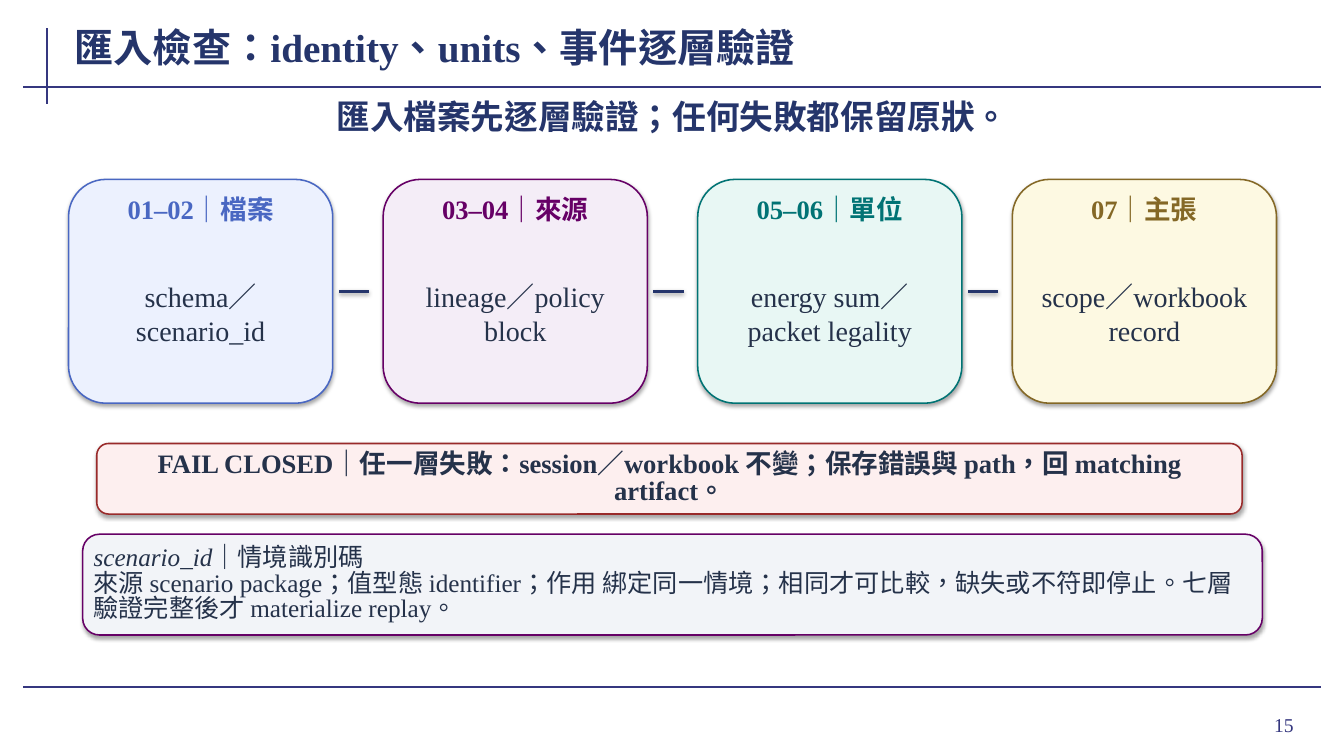
from lxml.etree import SubElement
from pptx import Presentation
from pptx.dml.color import RGBColor
from pptx.enum.lang import MSO_LANGUAGE_ID
from pptx.enum.shapes import MSO_CONNECTOR, MSO_SHAPE
from pptx.enum.text import MSO_ANCHOR, PP_ALIGN
from pptx.oxml.ns import qn
from pptx.util import Inches, Pt

FONT = "Times New Roman"
RULE = RGBColor(0x35, 0x37, 0x7F)
NAVY = RGBColor(0x25, 0x35, 0x6B)
INK = RGBColor(0x25, 0x32, 0x4A)
BLUE = RGBColor(0x49, 0x67, 0xC2)
PURPLE = RGBColor(0x66, 0x00, 0x66)
TEAL = RGBColor(0x00, 0x73, 0x74)
OCHRE = RGBColor(0x84, 0x68, 0x26)
RED = RGBColor(0x99, 0x2A, 0x2A)
PALE_BLUE = RGBColor(0xEC, 0xF1, 0xFE)
PALE_PURPLE = RGBColor(0xF4, 0xED, 0xF7)
PALE_TEAL = RGBColor(0xE8, 0xF7, 0xF4)
PALE_YELLOW = RGBColor(0xFD, 0xF9, 0xE2)
PALE_RED = RGBColor(0xFD, 0xEF, 0xEF)
PALE_GREY = RGBColor(0xF2, 0xF4, 0xF8)

# Content
TITLE = "匯入檢查：identity、units、事件逐層驗證"
SUBTITLE = "匯入檔案先逐層驗證；任何失敗都保留原狀。"
PAGE_NUMBER = "15"
CARDS = [
    ("01–02｜檔案", "schema／scenario_id", BLUE, PALE_BLUE),
    ("03–04｜來源", "lineage／policy block", PURPLE, PALE_PURPLE),
    ("05–06｜單位", "energy sum／packet legality", TEAL, PALE_TEAL),
    ("07｜主張", "scope／workbook record", OCHRE, PALE_YELLOW),
]
FAILURE = ("FAIL CLOSED｜任一層失敗：session／workbook 不變；"
           "保存錯誤與 path，回 matching artifact。")
TERM, TERM_LABEL = "scenario_id", "｜情境識別碼"
TERM_NOTE = ("來源 scenario package；值型態 identifier；作用 綁定同一情境；"
             "相同才可比較，缺失或不符即停止。七層驗證完整後才 materialize replay。")
RULES = [(0.47, 0.28, 0.47, 1.03), (0.23, 0.86, 13.1, 0.86), (0.23, 6.82, 13.1, 6.82)]

# Card row
CARD_LEFT, CARD_TOP, CARD_WIDTH, CARD_HEIGHT = 0.68, 1.78, 2.62, 2.22
CARD_STEP = 3.12
LINK_GAP, LINK_LENGTH = 0.06, 0.3

deck = Presentation()
deck.slide_width, deck.slide_height = Inches(13.33), Inches(7.5)
page = deck.slides.add_slide(deck.slide_layouts[6])


def add_shadow(effects, opacity, distance):
    shadow = SubElement(effects, qn("a:outerShdw"), blurRad=str(Pt(3.1)),
                        dist=str(Pt(distance)), dir="5400000", rotWithShape="0")
    color = SubElement(shadow, qn("a:srgbClr"), val="000000")
    SubElement(color, qn("a:alpha"), val=str(opacity * 1000))


def add_line(x1, y1, x2, y2, color, width):
    line = page.shapes.add_connector(MSO_CONNECTOR.STRAIGHT, *map(Inches, (x1, y1, x2, y2)))
    line.line.color.rgb = color
    line.line.width = Pt(width)
    return SubElement(line._element.spPr, qn("a:effectLst"))


def add_panel(left, top, width, height, fill, outline):
    panel = page.shapes.add_shape(MSO_SHAPE.ROUNDED_RECTANGLE,
                                  *map(Inches, (left, top, width, height)))
    panel.fill.solid()
    panel.fill.fore_color.rgb = fill
    panel.line.color.rgb = outline
    panel.line.width = Pt(1.1)
    panel.shadow.inherit = False
    add_shadow(panel._element.spPr.find(qn("a:effectLst")), 35, 1.8)
    return panel


def write(box, text, size, color, bold=False, align=PP_ALIGN.CENTER,
          inset=(0.08, 0.04), spacing=None):
    frame = box.text_frame
    frame.text = text
    frame.word_wrap = True
    frame.vertical_anchor = MSO_ANCHOR.MIDDLE
    frame.margin_left = frame.margin_right = Inches(inset[0])
    frame.margin_top = frame.margin_bottom = Inches(inset[1])
    for para in frame.paragraphs:
        para.alignment = align
        para.line_spacing = spacing
        for span in para.runs:
            style(span, size, color, bold)


def style(span, size, color, bold=False):
    span.font.name = FONT
    span.font.size = Pt(size)
    span.font.bold = bold
    span.font.color.rgb = color
    span.font.language_id = MSO_LANGUAGE_ID.TRADITIONAL_CHINESE


def add_text(left, top, width, height, *args, **options):
    box = page.shapes.add_textbox(*map(Inches, (left, top, width, height)))
    write(box, *args, **options)


# Frame rules, page number and headings
for ends in RULES:
    add_line(*ends, RULE, 1.5)
add_text(11.96, 6.93, 0.97, 0.52, PAGE_NUMBER, 14, RULE,
         align=PP_ALIGN.RIGHT, inset=(0.1, 0.05))
add_text(0.72, 0.2, 10.35, 0.53, TITLE, 28, NAVY, bold=True,
         align=PP_ALIGN.LEFT, inset=(0.02, 0))
add_text(0.82, 0.93, 11.7, 0.45, SUBTITLE, 24, NAVY, bold=True, inset=(0.02, 0))

# Validation cards, joined by short links
for index, (heading, checks, accent, tint) in enumerate(CARDS):
    left = CARD_LEFT + index * CARD_STEP
    add_panel(left, CARD_TOP, CARD_WIDTH, CARD_HEIGHT, tint, accent)
    add_text(left + 0.14, CARD_TOP + 0.08, CARD_WIDTH - 0.28, 0.42,
             heading, 19, accent, bold=True)
    add_text(left + 0.15, CARD_TOP + 0.54, CARD_WIDTH - 0.3, 1.58, checks, 20, INK)
    if index < len(CARDS) - 1:
        start = left + CARD_WIDTH + LINK_GAP
        middle = CARD_TOP + CARD_HEIGHT / 2
        add_shadow(add_line(start, middle, start + LINK_LENGTH, middle, NAVY, 2), 38, 1.6)

# Failure rule
failure_panel = add_panel(0.96, 4.4, 11.36, 0.7, PALE_RED, RED)
write(failure_panel, FAILURE, 19, INK, bold=True, inset=(0.08, 0.02), spacing=0.84)

# Term definition
term_panel = add_panel(0.82, 5.3, 11.7, 1, PALE_GREY, PURPLE)
write(term_panel, TERM + "\n" + TERM_NOTE, 18, INK, align=PP_ALIGN.LEFT,
      inset=(0.06, 0.02), spacing=0.84)
term_para = term_panel.text_frame.paragraphs[0]
term_para.runs[0].font.italic = True
label = term_para.add_run()
label.text = TERM_LABEL
style(label, 18, INK)

deck.save("out.pptx")
